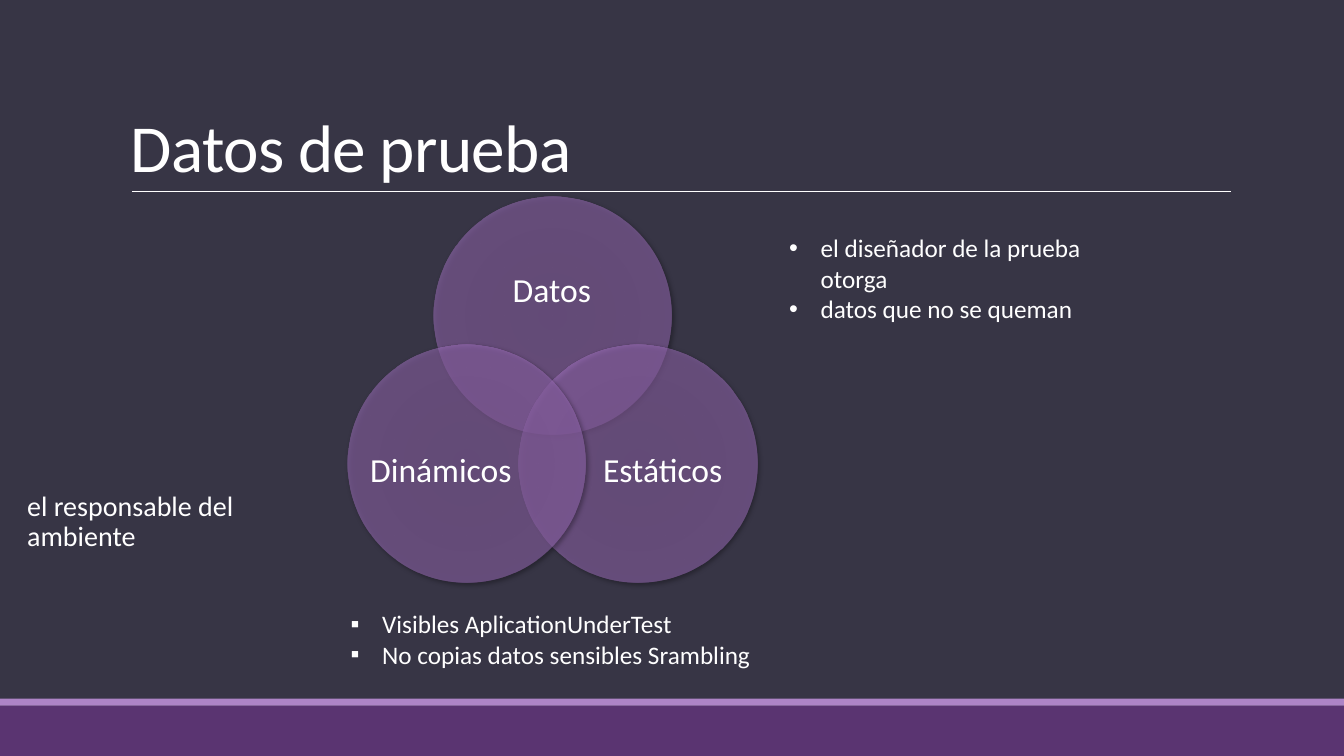
import math
from dataclasses import dataclass

import lxml.etree
import pptx
import pptx.dml.color
import pptx.enum.shapes
import pptx.enum.text
import pptx.oxml.ns
import pptx.slide
import pptx.util

Pt = pptx.util.Pt
qn = pptx.oxml.ns.qn
Anchor = pptx.enum.text.MSO_ANCHOR
Align = pptx.enum.text.PP_ALIGN

WHITE = "FFFFFF"
VENN_STOPS = [(0, "A372C2"), (34, "A574C2"), (70, "A875C7"), (100, "AE81C9")]
VENN_X, VENN_Y = 394.5, 296
VENN_DISTANCE = 70.67
DIAMETER = 170


@dataclass
class Band:
    top: float
    height: float
    fill: str


@dataclass
class TextBlock:
    left: float
    top: float
    width: float
    height: float
    lines: list[str]
    size: float
    anchor: Anchor = Anchor.TOP
    align: Align = Align.LEFT
    inset_x: float = 7.2
    inset_y: float = 3.6
    margin: float = 0
    indent: float = 0
    bullet: str = ""
    line_spacing: float = 1
    tracking: int = 0


@dataclass
class VennCircle:
    angle: float
    label: TextBlock


def venn_label(text: str, left: float, top: float, width: float, height: float) -> TextBlock:
    return TextBlock(left, top, width, height, [text], 24, Anchor.MIDDLE, Align.CENTER,
                     inset_x=0, inset_y=0, line_spacing=0.9)


def bullet_list(left: float, top: float, width: float, height: float,
                bullet: str, lines: list[str]) -> TextBlock:
    return TextBlock(left, top, width, height, lines, 18,
                     margin=22.5, indent=-22.5, bullet=bullet)


BANDS = [Band(504, 36, "5A3471"), Band(499, 5, "AD84C6")]

TITLE = TextBlock(86.4, 22.3, 792, 114.5, ["Datos de prueba"], 48, Anchor.BOTTOM,
                  line_spacing=0.85, tracking=-50)

CIRCLES = [
    VennCircle(-90, venn_label("Datos", 331.9, 169.9, 124.6, 76.3)),
    VennCircle(30, venn_label("Estáticos", 422.6, 290.2, 101.5, 93.6)),
    VennCircle(150, venn_label("Dinámicos", 264.2, 290.2, 101.5, 93.6)),
]

NOTES = [
    TextBlock(12.2, 347.8, 231.1, 70.6, ["el responsable del ambiente"], 20,
              inset_x=0, margin=7.2, line_spacing=0.9),
    bullet_list(556.6, 162.7, 265, 94.3, "•",
                ["el diseñador de la prueba otorga", "datos que no se queman"]),
    bullet_list(243.4, 431.3, 319, 72.7, "▪",
                ["Visibles AplicationUnderTest", "No copias datos sensibles Srambling"]),
]


def color(value: str) -> pptx.dml.color.RGBColor:
    return pptx.dml.color.RGBColor.from_string(value)


def add_child(parent, tag: str, **attributes):
    """Append a DrawingML element with the given attributes."""
    child = lxml.etree.SubElement(parent, qn(tag))
    for key, value in attributes.items():
        child.set(key, str(value))
    return child


def add_band(slide: pptx.slide.Slide, band: Band) -> None:
    stripe = slide.shapes.add_shape(pptx.enum.shapes.MSO_SHAPE.RECTANGLE,
                                    0, Pt(band.top), Pt(960), Pt(band.height))
    stripe.shadow.inherit = False
    stripe.fill.solid()
    stripe.fill.fore_color.rgb = color(band.fill)
    stripe.line.fill.background()


def add_title_rule(slide: pptx.slide.Slide) -> None:
    rule = slide.shapes.add_connector(pptx.enum.shapes.MSO_CONNECTOR.STRAIGHT,
                                      Pt(94.3), Pt(136.8), Pt(879), Pt(136.8))
    rule.line.color.rgb = color(WHITE)
    rule.line.width = Pt(0.5)
    add_child(rule._element.spPr, "a:effectLst")


def add_text(slide: pptx.slide.Slide, block: TextBlock) -> None:
    box = slide.shapes.add_textbox(Pt(block.left), Pt(block.top),
                                   Pt(block.width), Pt(block.height))
    frame = box.text_frame
    frame.text = "\n".join(block.lines)
    frame.word_wrap = True
    frame.vertical_anchor = block.anchor
    frame.margin_left = frame.margin_right = Pt(block.inset_x)
    frame.margin_top = frame.margin_bottom = Pt(block.inset_y)
    for paragraph in frame.paragraphs:
        paragraph.alignment = block.align
        paragraph.line_spacing = block.line_spacing
        properties = paragraph._p.get_or_add_pPr()
        properties.set("marL", str(Pt(block.margin)))
        properties.set("indent", str(Pt(block.indent)))
        if block.bullet:
            add_child(properties, "a:buFont", typeface="Arial")
            add_child(properties, "a:buChar", char=block.bullet)
        for run in paragraph.runs:
            run.font.name = "Calibri"
            run.font.size = Pt(block.size)
            run.font.color.rgb = color(WHITE)
            if block.tracking:
                run._r.get_or_add_rPr().set("spc", str(block.tracking))


def add_circle(slide: pptx.slide.Slide, circle: VennCircle) -> None:
    """Draw a translucent disc around the Venn centre, then its label."""
    angle = math.radians(circle.angle)
    left = VENN_X + VENN_DISTANCE * math.cos(angle) - DIAMETER / 2
    top = VENN_Y + VENN_DISTANCE * math.sin(angle) - DIAMETER / 2
    disc = slide.shapes.add_shape(pptx.enum.shapes.MSO_SHAPE.OVAL,
                                  Pt(left), Pt(top), Pt(DIAMETER), Pt(DIAMETER))
    disc.line.fill.background()
    disc.shadow.inherit = False
    properties = disc._element.spPr

    gradient = add_child(properties, "a:gradFill", rotWithShape=1)
    stops = add_child(gradient, "a:gsLst")
    for position, value in VENN_STOPS:
        stop = add_child(stops, "a:gs", pos=position * 1000)
        add_child(add_child(stop, "a:srgbClr", val=value), "a:alpha", val=50000)
    center = add_child(gradient, "a:path", path="circle")
    add_child(center, "a:fillToRect", l=100000, t=100000, r=100000, b=100000)
    properties.find(qn("a:prstGeom")).addnext(gradient)

    shadow = add_child(properties.find(qn("a:effectLst")), "a:outerShdw",
                       blurRad=Pt(3.5), dist=Pt(2), dir=45 * 60000,
                       algn="br", rotWithShape=0)
    add_child(add_child(shadow, "a:srgbClr", val="000000"), "a:alpha", val=60000)
    add_text(slide, circle.label)


def main() -> None:
    deck = pptx.Presentation()
    deck.slide_width, deck.slide_height = Pt(960), Pt(540)
    slide = deck.slides.add_slide(deck.slide_layouts[6])
    slide.background.fill.solid()
    slide.background.fill.fore_color.rgb = color("373545")
    for band in BANDS:
        add_band(slide, band)
    add_title_rule(slide)
    add_text(slide, TITLE)
    for circle in CIRCLES:
        add_circle(slide, circle)
    for note in NOTES:
        add_text(slide, note)
    deck.save("out.pptx")


if __name__ == "__main__":
    main()
